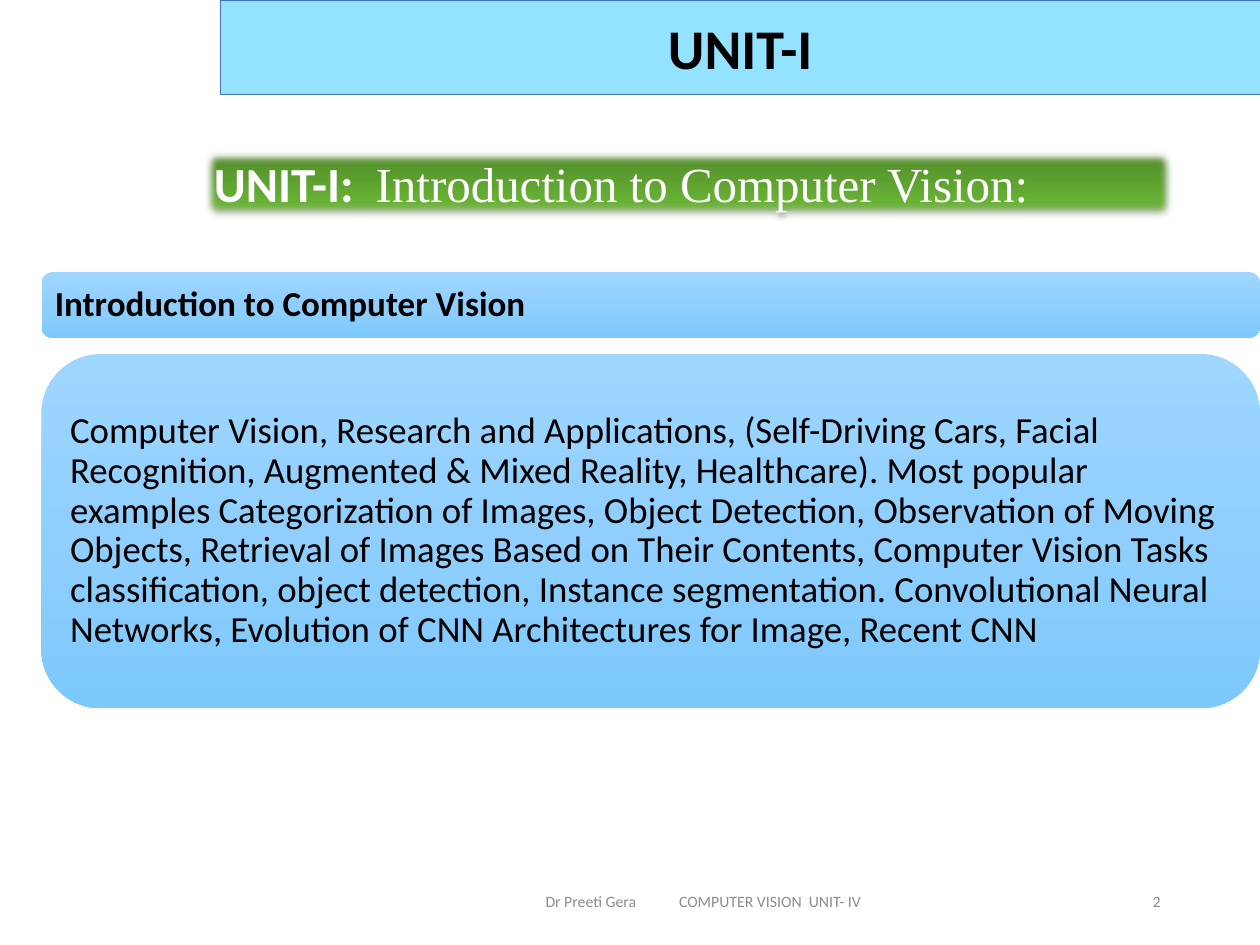
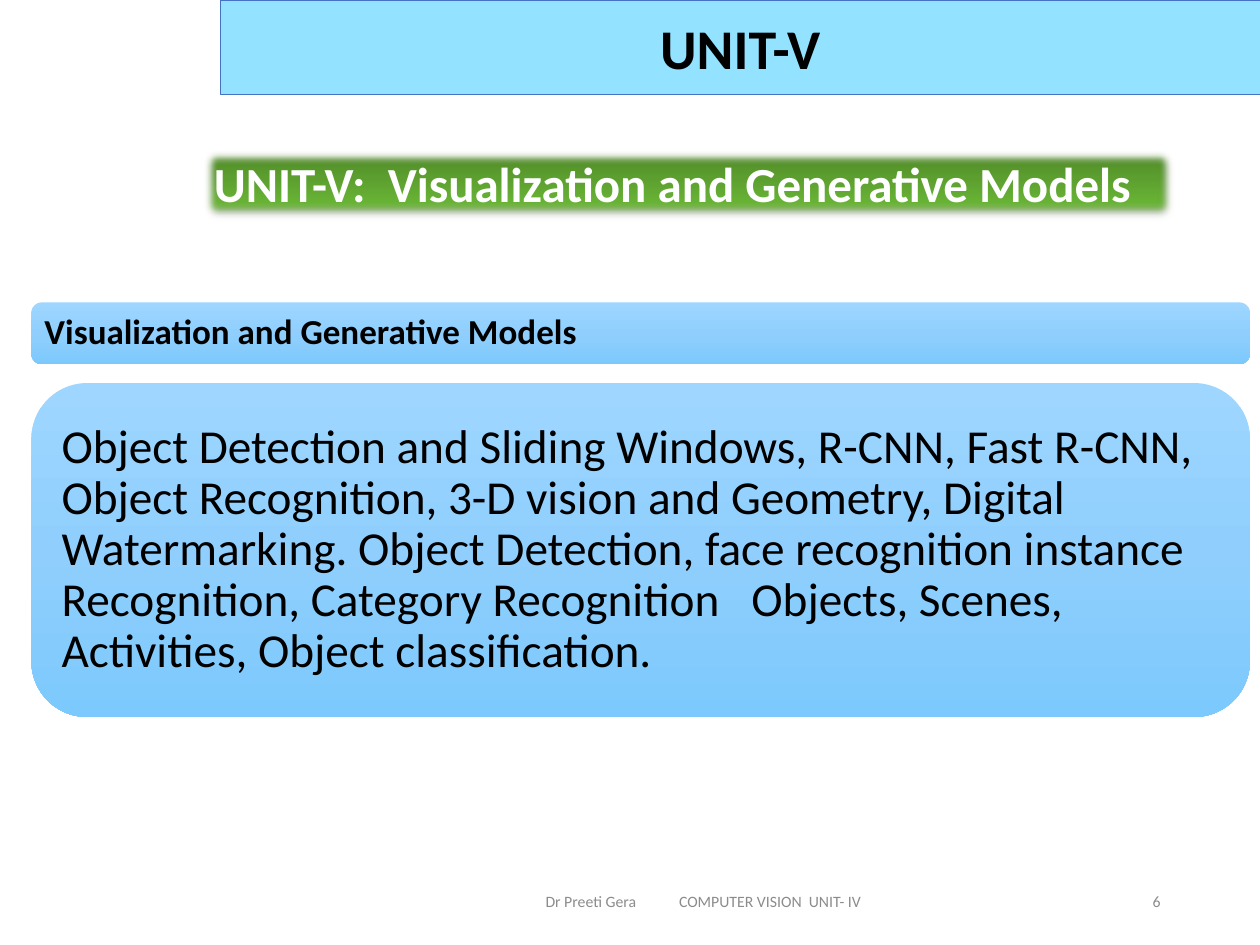
import pptx
import pptx.util
import pptx.oxml
import pptx.oxml.ns
import pptx.dml.color
import pptx.enum.shapes
import pptx.enum.text
from dataclasses import dataclass

Inches = pptx.util.Inches
Shape = pptx.enum.shapes.MSO_SHAPE
Align = pptx.enum.text.PP_ALIGN
Anchor = pptx.enum.text.MSO_ANCHOR
qn = pptx.oxml.ns.qn
NS = pptx.oxml.ns.nsdecls("a")


@dataclass(frozen=True)
class Theme:
    font: str = "Calibri"
    serif: str = "Times New Roman"
    ink: str = "000000"
    white: str = "FFFFFF"
    grey: str = "8C8C8C"
    sky: str = "93E2FF"
    edge: str = "4472C4"
    green: tuple = ((0, "4D8527"), (80, "6AB636"), (100, "6ABA34"))
    blue: tuple = ((0, "9ED6FF"), (50, "90CFFD"), (100, "7CC9FD"))
    title: int = 32
    band: int = 28
    head: int = 20
    small: int = 9


UNITS = [
    dict(page="2", name="UNIT-I", label="UNIT-I:  ",
         topic="Introduction to Computer Vision:", serif=True,
         head="Introduction to Computer Vision",
         left=0.33, top=2.16, bar=0.52, card=2.81, tall=2.81, size=21, pad=0.09,
         body="Computer Vision, Research and Applications, (Self-Driving Cars, "
              "Facial Recognition, Augmented & Mixed Reality, Healthcare). Most "
              "popular examples Categorization of Images, Object Detection, "
              "Observation of Moving Objects, Retrieval of Images Based on Their "
              "Contents, Computer Vision Tasks classification, object detection, "
              "Instance segmentation. Convolutional Neural Networks, Evolution of "
              "CNN Architectures for Image, Recent CNN"),
    dict(page="6", name="UNIT-V", label="UNIT-V:  ",
         topic="Visualization and Generative Models", serif=False,
         head="Visualization and Generative Models",
         left=0.25, top=2.4, bar=0.49, card=3.04, tall=2.65, size=27, pad=0.11,
         body="Object Detection and Sliding Windows, R-CNN, Fast R-CNN, Object "
              "Recognition, 3-D vision and Geometry, Digital Watermarking. Object "
              "Detection, face recognition instance Recognition, Category "
              "Recognition   Objects, Scenes, Activities, Object classification."),
]


class Deck:
    def __init__(self, theme):
        self.theme = theme
        self.prs = pptx.Presentation()
        self.prs.slide_width, self.prs.slide_height = Inches(10), Inches(7.5)
        self.slide = None

    def start(self):
        self.slide = self.prs.slides.add_slide(self.prs.slide_layouts[6])

    def style(self, font, size, color, bold=False, face=None):
        font.name = face or self.theme.font
        font.size = pptx.util.Pt(size)
        font.bold = bold
        font.color.rgb = pptx.dml.color.RGBColor.from_string(color)

    def shape(self, kind, *box):
        item = self.slide.shapes.add_shape(kind, *map(Inches, box))
        item.shadow.inherit = False
        item.line.fill.background()
        item.text_frame.word_wrap = True
        return item

    def blend(self, item, stops):
        """Fill with a gradient that runs from top to bottom."""
        item.fill.gradient()
        item.fill.gradient_angle = 270
        group = next(item._element.spPr.iter(qn("a:gsLst")))
        for old in list(group):
            group.remove(old)
        for place, color in stops:
            group.append(pptx.oxml.parse_xml(
                f'<a:gs {NS} pos="{place * 1000}"><a:srgbClr val="{color}"/></a:gs>'))

    def soften(self, item):
        """Add a faint shadow and soft edges."""
        group = item._element.spPr.find(qn("a:effectLst"))
        group.append(pptx.oxml.parse_xml(
            f'<a:outerShdw {NS} blurRad="39370" dist="22860" dir="5400000" '
            'rotWithShape="0"><a:srgbClr val="000000"><a:alpha val="35000"/>'
            '</a:srgbClr></a:outerShdw>'))
        group.append(pptx.oxml.parse_xml(f'<a:softEdge {NS} rad="63500"/>'))

    def title(self, text):
        item = self.shape(Shape.RECTANGLE, 1.75, 0, 8.25, 0.75)
        color = pptx.dml.color.RGBColor.from_string
        item.fill.solid()
        item.fill.fore_color.rgb = color(self.theme.sky)
        item.line.color.rgb = color(self.theme.edge)
        item.line.width = pptx.util.Pt(0.5)
        para = item.text_frame.paragraphs[0]
        para.text = text
        para.alignment = Align.CENTER
        self.style(para.font, self.theme.title, self.theme.ink, True)

    def band(self, label, topic, serif):
        item = self.shape(Shape.RECTANGLE, 1.6, 1.17, 7.73, 0.57)
        self.blend(item, self.theme.green)
        self.soften(item)
        item.text_frame.vertical_anchor = Anchor.TOP
        para = item.text_frame.paragraphs[0]
        para.alignment = Align.JUSTIFY if serif else Align.LEFT
        face = self.theme.serif if serif else self.theme.font
        for text, bold, name in ((label, True, None), (topic, not serif, face)):
            run = para.add_run()
            run.text = text
            self.style(run.font, self.theme.band, self.theme.white, bold, name)

    def card(self, text, left, top, height, size, pad, bold=False):
        item = self.shape(Shape.ROUNDED_RECTANGLE, left, top, 9.67, height)
        self.blend(item, self.theme.blue)
        frame = item.text_frame
        frame.margin_left = frame.margin_right = Inches(pad)
        frame.margin_top = frame.margin_bottom = Inches(pad)
        para = frame.paragraphs[0]
        para.text = text
        para.alignment = Align.LEFT
        para.line_spacing = 0.9
        self.style(para.font, size, self.theme.ink, bold)

    def note(self, text, left, width, align, tab=None):
        """Add footer text, with a tab stop if one is given."""
        item = self.slide.shapes.add_textbox(
            Inches(left), Inches(6.95), Inches(width), Inches(0.4))
        frame = item.text_frame
        frame.word_wrap = True
        frame.vertical_anchor = Anchor.MIDDLE
        para = frame.paragraphs[0]
        para.text = text
        para.alignment = align
        if tab:
            para._p.get_or_add_pPr().append(pptx.oxml.parse_xml(
                f'<a:tabLst {NS}><a:tab pos="{Inches(tab)}" algn="l"/></a:tabLst>'))
        self.style(para.font, self.theme.small, self.theme.grey)
        return frame

    def foot(self, page):
        frame = self.note("Dr Preeti Gera\tCOMPUTER VISION  UNIT- IV",
                          3.17, 4.83, Align.LEFT, 1.06)
        frame.margin_left = Inches(1.16)
        self.note(page, 7.06, 2.25, Align.RIGHT)


def main():
    deck = Deck(Theme())
    for unit in UNITS:
        deck.start()
        deck.foot(unit["page"])
        deck.title(unit["name"])
        deck.band(unit["label"], unit["topic"], unit["serif"])
        deck.card(unit["head"], unit["left"], unit["top"], unit["bar"],
                  deck.theme.head, 0.08, True)
        deck.card(unit["body"], unit["left"], unit["card"], unit["tall"],
                  unit["size"], unit["pad"])
    deck.prs.save("out.pptx")


if __name__ == "__main__":
    main()
